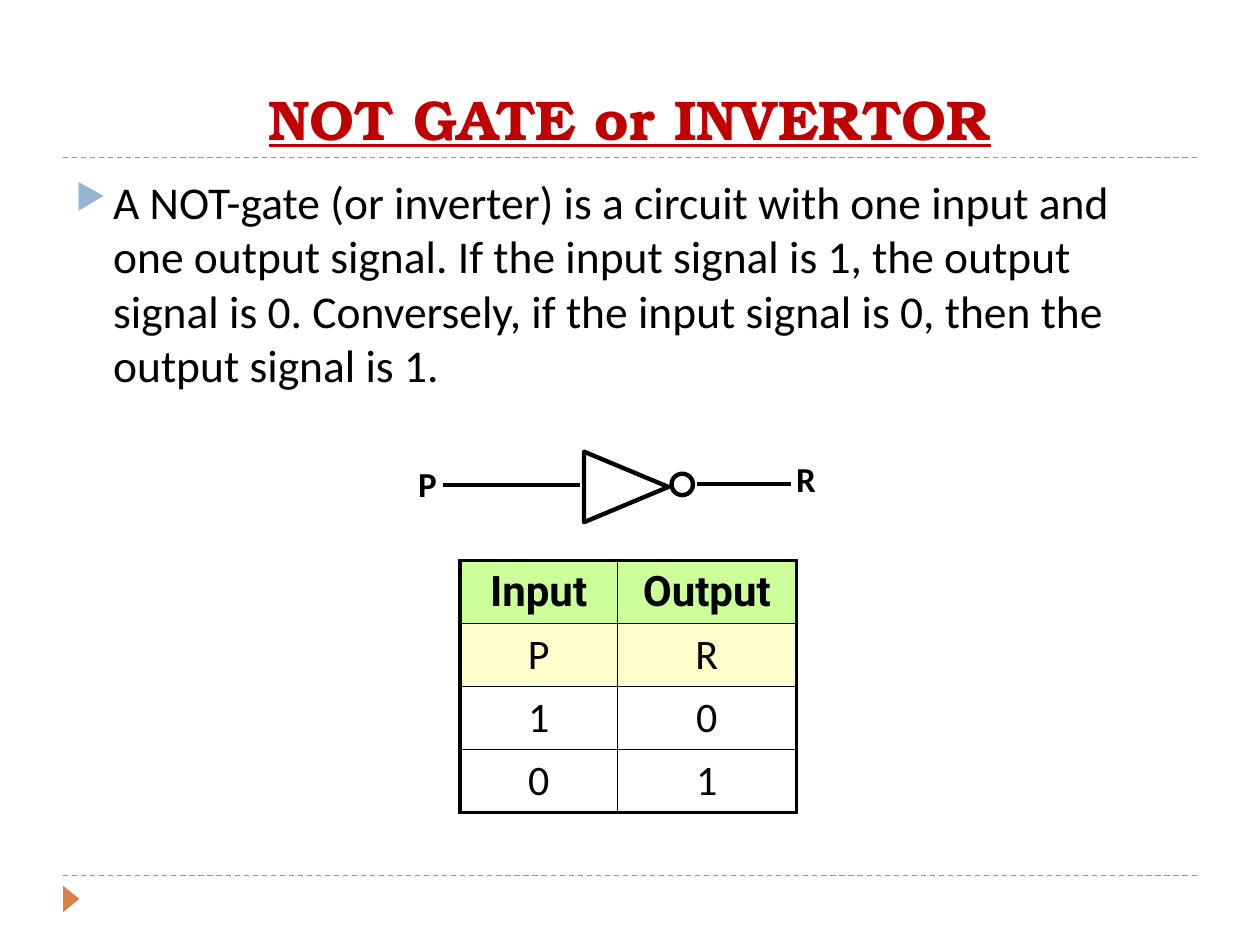
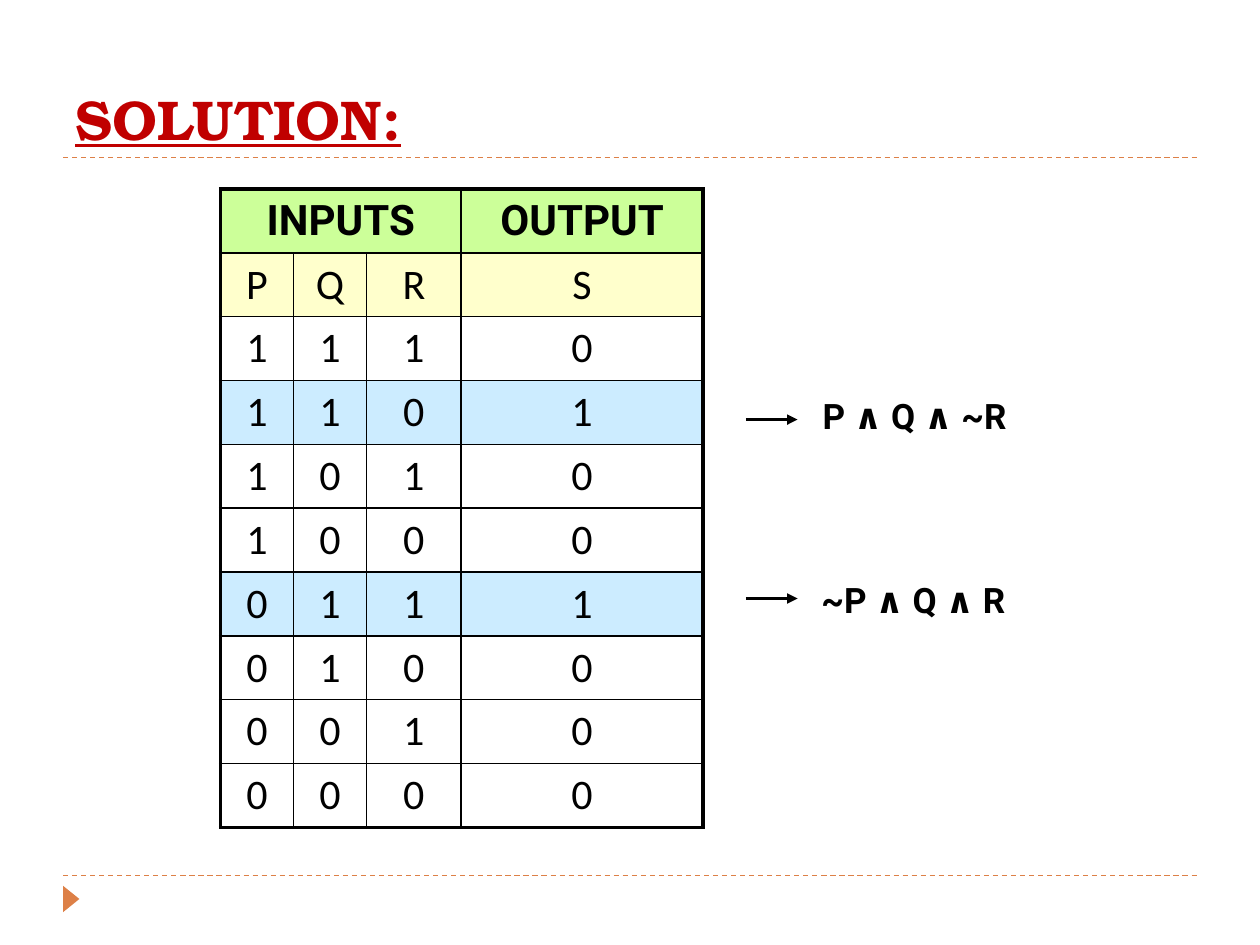
from lxml.etree import SubElement
from pptx import Presentation
from pptx.dml.color import RGBColor
from pptx.enum.dml import MSO_LINE
from pptx.enum.shapes import MSO_CONNECTOR, MSO_SHAPE
from pptx.enum.text import MSO_ANCHOR, PP_ALIGN
from pptx.oxml.ns import qn
from pptx.util import Inches, Pt

WIDTH, HEIGHT = 10, 7.5
MARGIN = 0.05 * WIDTH
CONTENT_WIDTH = WIDTH - 2 * MARGIN
RULE_HEIGHTS = (6.95, 1.25)

BLACK = RGBColor(0x00, 0x00, 0x00)
TITLE_RED = RGBColor(0xC0, 0x00, 0x00)
ORANGE = RGBColor(0xDD, 0x80, 0x47)
BULLET_BLUE = RGBColor(0x94, 0xB6, 0xD2)
HEADING_GREEN = RGBColor(0xCC, 0xFF, 0x99)
NAMES_YELLOW = RGBColor(0xFF, 0xFF, 0xCC)
TRUE_BLUE = RGBColor(0xCC, 0xEC, 0xFF)

TITLE_FONT, BODY_FONT, HEADING_FONT = "TeX Gyre Bonum", "Calibri", "Roboto"
OUTER_BORDER, INNER_BORDER = 2.25, 1

NOT_GATE = {
    "title": "NOT GATE or INVERTOR",
    "body": "A NOT-gate (or inverter) is a circuit with one input and one output "
            "signal. If the input signal is 1, the output signal is 0. Conversely, "
            "if the input signal is 0, then the output signal is 1.",
    "wires": [((3.52, 3.85), (4.6, 3.85)), ((5.53, 3.84), (6.28, 3.84))],
    "labels": [("P", 3.22, 3.62), ("R", 6.22, 3.58)],
    "table": {
        "corner": (3.65, 4.45), "columns": (1.25, 1.42), "row_height": 0.5,
        "headings": [("Input", 1), ("Output", 1)],
        "names": "PR", "rows": ["10", "01"], "highlighted": [],
    },
}
SOLUTION = {
    "title": "SOLUTION:",
    "table": {
        "corner": (1.75, 1.5), "columns": (0.58, 0.58, 0.75, 1.92),
        "row_height": 0.507,
        "headings": [("INPUTS", 3), ("OUTPUT", 1)],
        "names": "PQRS",
        "rows": ["1110", "1101", "1010", "1000", "0111", "0100", "0010", "0000"],
        "highlighted": ["1101", "0111"],
    },
    # formula, its left and top, height of its arrow
    "formulas": [("P ∧ Q ∧ ~R", 6.43, 3.08, 3.33), ("~P ∧ Q ∧ R", 6.42, 4.54, 4.75)],
}


def format_paragraph(paragraph, font_name, size, color=BLACK, bold=False, underline=False):
    for run in paragraph.runs:
        font = run.font
        font.name, font.size, font.bold = font_name, Pt(size), bold
        font.underline = underline
        font.color.rgb = color


def add_text(slide, text, box, font_name, size, **style):
    """Add a wrapped text box and return its frame."""
    frame = slide.shapes.add_textbox(*map(Inches, box)).text_frame
    frame.word_wrap = True
    frame.text = text
    format_paragraph(frame.paragraphs[0], font_name, size, **style)
    return frame


def add_line(slide, start, end, color, width):
    line = slide.shapes.add_connector(
        MSO_CONNECTOR.STRAIGHT, *map(Inches, (*start, *end)))
    line.line.color.rgb = color
    line.line.width = Pt(width)
    SubElement(line._element.spPr, qn("a:effectLst"))
    return line


def add_plain_shape(slide, kind, box, rotation=0, fill=None):
    """Add a filled shape without outline, or a black outline without fill."""
    shape = slide.shapes.add_shape(kind, *map(Inches, box))
    shape.rotation = rotation
    shape.shadow.inherit = False
    if fill is None:
        shape.fill.background()
        shape.line.color.rgb = BLACK
        shape.line.width = Pt(2.5)
    else:
        shape.fill.solid()
        shape.fill.fore_color.rgb = fill
        shape.line.fill.background()


def add_titled_slide(presentation, title, alignment):
    slide = presentation.slides.add_slide(presentation.slide_layouts[6])
    for height in RULE_HEIGHTS:
        rule = add_line(slide, (MARGIN, height), (WIDTH - MARGIN, height), ORANGE, 0.75)
        rule.line.dash_style = MSO_LINE.DASH
    add_plain_shape(slide, MSO_SHAPE.ISOSCELES_TRIANGLE, (0.46, 7.07, 0.21, 0.13),
                    rotation=90, fill=ORANGE)
    frame = add_text(slide, title, (MARGIN, 0.17, CONTENT_WIDTH, 1.08), TITLE_FONT, 32,
                     color=TITLE_RED, bold=True, underline=True)
    frame.vertical_anchor = MSO_ANCHOR.BOTTOM
    frame.paragraphs[0].alignment = alignment
    return slide


def add_bullet(paragraph):
    properties = paragraph._p.get_or_add_pPr()
    properties.set("marL", str(Inches(0.3)))
    properties.set("indent", str(Inches(-0.3)))
    color = SubElement(properties, qn("a:buClr"))
    SubElement(color, qn("a:srgbClr"), val=str(BULLET_BLUE))
    SubElement(properties, qn("a:buSzPct"), val="76000")
    SubElement(properties, qn("a:buChar"), char="▶")


def set_borders(cell, widths):
    """Draw black borders; widths go left, right, top, bottom."""
    properties = cell._tc.get_or_add_tcPr()
    for side, width in zip("LRTB", widths):
        border = SubElement(properties, qn(f"a:ln{side}"), w=str(Pt(width)))
        fill = SubElement(border, qn("a:solidFill"))
        SubElement(fill, qn("a:srgbClr"), val=str(BLACK))


def fill_cell(cell, text, color, heading):
    cell.margin_top = cell.margin_bottom = Inches(0.04)
    cell.vertical_anchor = MSO_ANCHOR.MIDDLE
    if color is None:
        cell.fill.background()
    else:
        cell.fill.solid()
        cell.fill.fore_color.rgb = color
    cell.text = text
    paragraph = cell.text_frame.paragraphs[0]
    paragraph.alignment = PP_ALIGN.CENTER
    format_paragraph(paragraph, HEADING_FONT if heading else BODY_FONT, 24, bold=heading)


def add_truth_table(slide, corner, columns, row_height, headings, names, rows, highlighted):
    lines = [names, *rows]
    row_count, column_count = len(lines) + 1, len(columns)
    table = slide.shapes.add_table(
        row_count, column_count,
        *map(Inches, (*corner, sum(columns), row_count * row_height))).table
    table.first_row = table.horz_banding = False
    for column, width in zip(table.columns, columns):
        column.width = Inches(width)

    for row in range(row_count):
        table.rows[row].height = Inches(row_height)
        for column in range(column_count):
            at_edge = (column == 0, column == column_count - 1,
                       row == 0, row == row_count - 1)
            set_borders(table.cell(row, column),
                        [OUTER_BORDER if edge else INNER_BORDER for edge in at_edge])

    first = 0
    for heading, span in headings:
        if span > 1:
            table.cell(0, first).merge(table.cell(0, first + span - 1))
        fill_cell(table.cell(0, first), heading, HEADING_GREEN, heading=True)
        first += span

    for row, line in enumerate(lines, start=1):
        color = NAMES_YELLOW if row == 1 else TRUE_BLUE if line in highlighted else None
        for column, value in enumerate(line):
            fill_cell(table.cell(row, column), value, color, heading=False)


def add_not_gate_slide(presentation):
    slide = add_titled_slide(presentation, NOT_GATE["title"], PP_ALIGN.CENTER)
    body = add_text(slide, NOT_GATE["body"], (MARGIN, 1.33, CONTENT_WIDTH, 5.4),
                    BODY_FONT, 26)
    add_bullet(body.paragraphs[0])
    for start, end in NOT_GATE["wires"]:
        add_line(slide, start, end, BLACK, 2.5)
    add_plain_shape(slide, MSO_SHAPE.ISOSCELES_TRIANGLE, (4.69, 3.53, 0.56, 0.67), rotation=90)
    add_plain_shape(slide, MSO_SHAPE.OVAL, (5.33, 3.76, 0.17, 0.17))
    for label, left, top in NOT_GATE["labels"]:
        add_text(slide, label, (left, top, 0.42, 0.45), BODY_FONT, 20, bold=True)
    add_truth_table(slide, **NOT_GATE["table"])


def add_solution_slide(presentation):
    slide = add_titled_slide(presentation, SOLUTION["title"], PP_ALIGN.LEFT)
    add_truth_table(slide, **SOLUTION["table"])
    for formula, left, top, arrow_height in SOLUTION["formulas"]:
        add_text(slide, formula, (left, top, 1.82, 0.44), HEADING_FONT, 20, bold=True)
        arrow = add_line(slide, (5.92, arrow_height), (6.33, arrow_height), BLACK, 2)
        SubElement(arrow.line._get_or_add_ln(), qn("a:tailEnd"), type="triangle")


def main():
    presentation = Presentation()
    presentation.slide_width, presentation.slide_height = Inches(WIDTH), Inches(HEIGHT)
    add_not_gate_slide(presentation)
    add_solution_slide(presentation)
    presentation.save("out.pptx")


if __name__ == "__main__":
    main()
